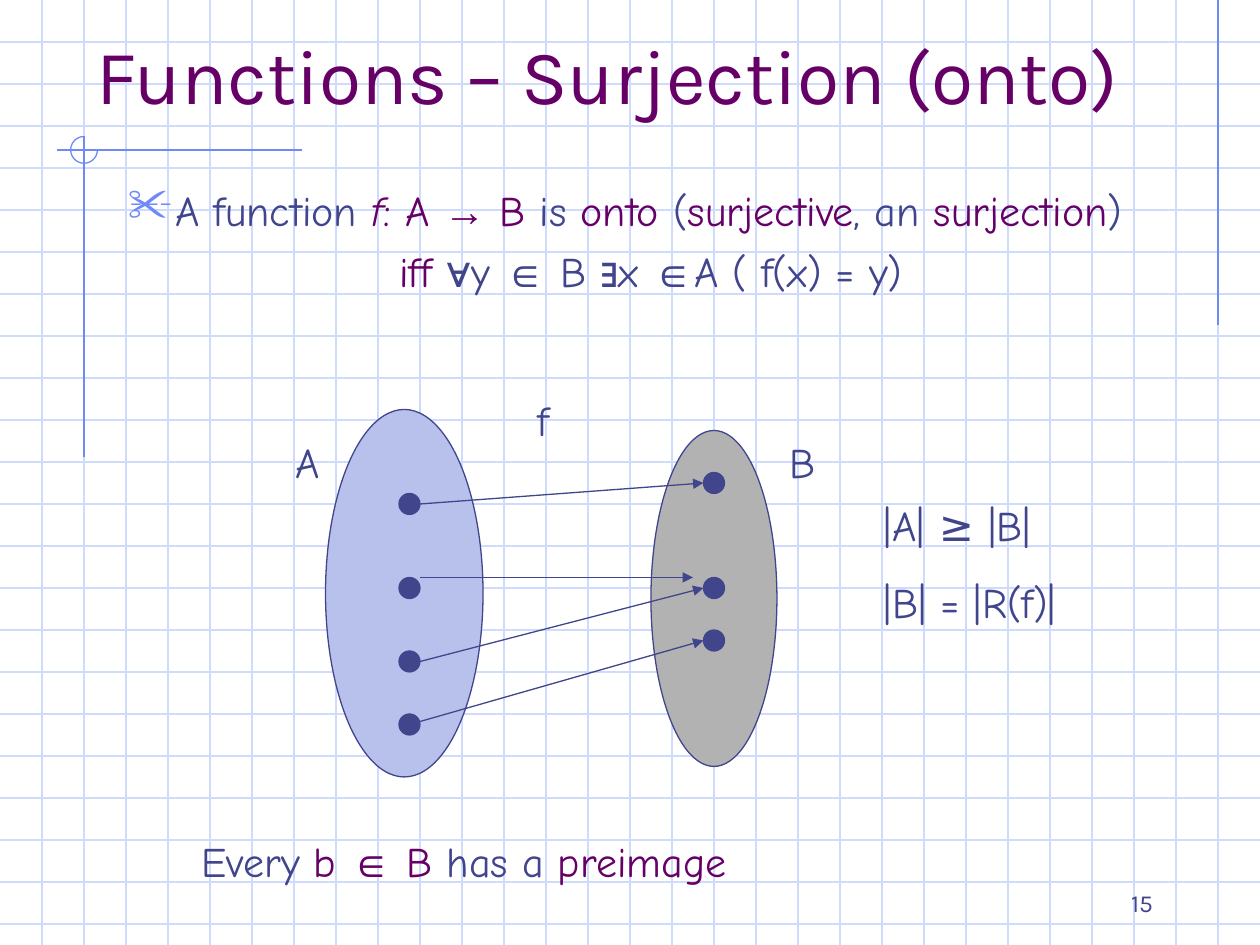
from dataclasses import dataclass

from lxml import etree
from pptx import Presentation
from pptx.dml.color import RGBColor
from pptx.enum.shapes import MSO_CONNECTOR, MSO_SHAPE
from pptx.enum.text import MSO_ANCHOR, PP_ALIGN
from pptx.oxml.ns import qn
from pptx.util import Pt

STRAIGHT = MSO_CONNECTOR.STRAIGHT
OVAL, ARC = MSO_SHAPE.OVAL, MSO_SHAPE.ARC
TOP, BOTTOM = MSO_ANCHOR.TOP, MSO_ANCHOR.BOTTOM
LEFT, CENTER, RIGHT = PP_ALIGN.LEFT, PP_ALIGN.CENTER, PP_ALIGN.RIGHT


@dataclass(frozen=True)
class Theme:
    ink: str = "40458C"
    accent: str = "660066"
    rule: str = "6F89F7"
    grid: str = "CFDBFD"
    domain: str = "B7C1EB"
    codomain: str = "B2B2B2"
    heading: str = "Karla"
    hand: str = "Comic Neue"
    symbol: str = "Arial"
    title_size: int = 44
    body_size: int = 24
    number_size: int = 14
    line: float = 0.75


THEME = Theme()
INK, ACCENT = THEME.ink, THEME.accent
SYMBOLS = "→∀∈∃"
WIDTH, HEIGHT, GRID_STEP = 720, 540, 24

TITLE = [[("Functions – Surjection (onto)", ACCENT)]]
NUMBER = [[("15", INK)]]
DEFINITION = [
    [("A function ", INK), ("f", ACCENT, True), (": A ", ACCENT), ("→", ACCENT), (" B", ACCENT),
     (" is ", INK), ("onto", ACCENT), (" (", INK), ("surjective", ACCENT),
     (", an ", INK), ("surjection", ACCENT), (")", INK)],
    [("iff ", ACCENT), ("∀", INK), ("y ", INK), ("∈", INK), (" B ", INK), ("∃", INK),
     ("x ", INK), ("∈", INK), ("A ( f(x) = y)", INK)],
]
NOTES = [
    ((300, 222, 66, 36), [[("f", INK)]]),
    ((162, 246, 42, 36), [[("A", INK)]]),
    ((444, 246, 42, 36), [[("B", INK)]]),
    ((498, 282, 174, 80), [[("|A| ≥ |B|", INK)], [("|B| = |R(f)|", INK)]]),
    ((108, 474, 468, 36), [[("Every ", INK), ("b ", ACCENT), ("∈", ACCENT), (" B", ACCENT),
                            (" has a ", INK), ("preimage", ACCENT)]]),
]
SETS = [
    ((186, 234, 90, 210), THEME.domain, 228, (282, 330, 372, 408)),
    ((372, 246, 90, 192), THEME.codomain, 402, (270, 330, 360)),
]
SETS[1] = ((372, 246, 72, 192),) + SETS[1][1:]
DOT = 12
ARROWS = [
    ((240, 288), (402, 276)),
    ((240, 378), (402, 336)),
    ((234, 414), (402, 366)),
    ((240, 330), (396, 330)),
]
RULES = [((696, 0), (696, 186)), ((172.8, 85.7), (32.4, 85.7)), ((48, 78), (48, 261))]
CORNER = (40.4, 78, 15.3, 15.3)


def points(values):
    return [Pt(value) for value in values]


def add_line(slide, start, end, color, arrow=False):
    line = slide.shapes.add_connector(STRAIGHT, *points(start + end))
    line.line.color.rgb = RGBColor.from_string(color)
    line.line.width = Pt(THEME.line)
    if arrow:
        etree.SubElement(line.line._get_or_add_ln(), qn("a:tailEnd"), type="triangle")
    etree.SubElement(line._element.spPr, qn("a:effectLst"))


def add_shape(slide, kind, frame, color, fill=None):
    shape = slide.shapes.add_shape(kind, *points(frame))
    shape.shadow.inherit = False
    if fill:
        shape.fill.solid()
        shape.fill.fore_color.rgb = RGBColor.from_string(fill)
    else:
        shape.fill.background()
    shape.line.color.rgb = RGBColor.from_string(color)
    shape.line.width = Pt(THEME.line)
    return shape


def add_text(slide, frame, paragraphs, size=THEME.body_size, font=THEME.hand,
             anchor=TOP, aligns=(LEFT, LEFT), gap=15):
    box = slide.shapes.add_textbox(*points(frame))
    box.text_frame.word_wrap = True
    box.text_frame.vertical_anchor = anchor
    for index, (spans, align) in enumerate(zip(paragraphs, aligns)):
        para = box.text_frame.add_paragraph() if index else box.text_frame.paragraphs[0]
        para.alignment = align
        if index:
            para.space_before = Pt(gap)
        for text, color, *italic in spans:
            span = para.add_run()
            span.text = text
            span.font.name = THEME.symbol if text in SYMBOLS else font
            span.font.size = Pt(size)
            span.font.italic = bool(italic)
            span.font.color.rgb = RGBColor.from_string(color)
    return box


def add_bullet(para, mark, color, percent, indent):
    properties = para._p.get_or_add_pPr()
    properties.set("marL", str(Pt(indent)))
    properties.set("indent", str(Pt(-indent)))
    holder = etree.SubElement(properties, qn("a:buClr"))
    etree.SubElement(holder, qn("a:srgbClr"), val=color)
    etree.SubElement(properties, qn("a:buSzPct"), val=str(percent * 1000))
    etree.SubElement(properties, qn("a:buChar"), char=mark)


def add_background(slide):
    for y in range(GRID_STEP, HEIGHT, GRID_STEP):
        add_line(slide, (0, y), (WIDTH, y), THEME.grid)
    for x in range(GRID_STEP, WIDTH, GRID_STEP):
        add_line(slide, (x, 0), (x, HEIGHT), THEME.grid)
    for start, end in RULES:
        add_line(slide, start, end, THEME.rule)
    corner = add_shape(slide, ARC, CORNER, THEME.rule)
    corner.adjustments[0] = 0
    corner.adjustments[1] = 162


def add_mapping(slide):
    for frame, fill, left, tops in SETS:
        add_shape(slide, OVAL, frame, INK, fill)
        for top in tops:
            add_shape(slide, OVAL, (left, top, DOT, DOT), INK, INK)
    for start, end in ARROWS:
        add_line(slide, start, end, INK, arrow=True)


def main():
    deck = Presentation()
    deck.slide_width, deck.slide_height = Pt(WIDTH), Pt(HEIGHT)
    slide = deck.slides.add_slide(deck.slide_layouts[6])
    add_background(slide)
    add_text(slide, (516, 510, 150, 18), NUMBER, THEME.number_size, THEME.heading,
             BOTTOM, (RIGHT,))
    add_text(slide, (48, 24, 648, 48), TITLE, THEME.title_size, THEME.heading, BOTTOM)
    body = add_text(slide, (66, 102, 612, 390), DEFINITION, aligns=(LEFT, CENTER), gap=6)
    add_bullet(body.text_frame.paragraphs[0], "✂", THEME.rule, 110, 27)
    add_mapping(slide)
    for frame, paragraphs in NOTES:
        add_text(slide, frame, paragraphs)
    deck.save("out.pptx")


if __name__ == "__main__":
    main()
